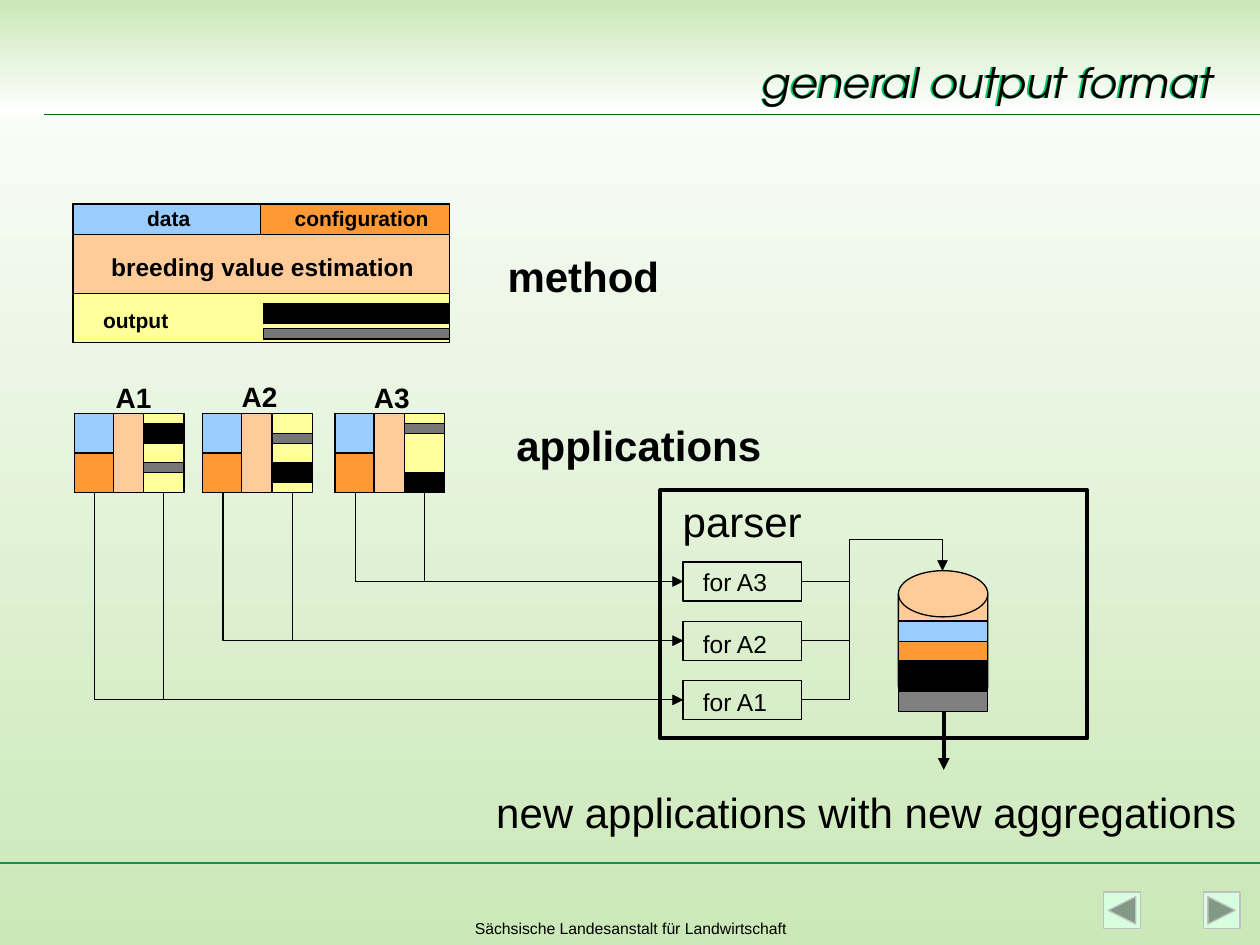
from dataclasses import dataclass
from typing import Optional

from lxml import etree
from pptx import Presentation
from pptx import util as u
from pptx.dml.color import RGBColor
from pptx.enum import shapes, text
from pptx.oxml import ns

Kind = shapes.MSO_SHAPE


@dataclass(frozen=True)
class Theme:
    ink: str = "000000"
    white: str = "FFFFFF"
    leaf: str = "CAE8B8"
    data: str = "99CCFF"
    config: str = "FF9933"
    method: str = "FFCC99"
    output: str = "FFFF99"
    grey: str = "777777"
    disk_grey: str = "808080"
    button: str = "D7FFDF"
    button_line: str = "C0C0C0"
    footer_rule: str = "119149"
    title_rule: str = "006600"
    title_shadow: str = "00CC66"
    body: str = "Arial"
    display: str = "TeX Gyre Adventor"
    heading: int = 24
    tag: int = 16
    normal: int = 14
    small: int = 12
    footer: int = 9
    thin: float = 0.75
    thick: float = 2.25


@dataclass(frozen=True)
class Box:
    left: float
    top: float
    width: float
    height: float
    fill: Optional[str] = None
    kind: Kind = Kind.RECTANGLE
    line: str = "000000"
    weight: float = 0.75


@dataclass(frozen=True)
class Label:
    words: str
    left: float
    top: float
    width: float
    height: float
    size: int
    bold: bool = False
    wrap: bool = False
    align: text.PP_ALIGN = text.PP_ALIGN.LEFT


@dataclass(frozen=True)
class Application:
    """One application: its tile, output bands and parser row."""
    name: str
    left: float
    tag_left: float
    tag_top: float
    black_top: float
    grey_top: float
    row_top: float
    row_text_top: float


T = Theme()
TILE_TOP, TILE_H, HALF = 3.28, 0.63, 0.315
ROW_LEFT, ROW_W, ROW_H = 5.42, 0.94, 0.31
BUS_X, BUS_TOP, DISK_X, DISK_TOP = 6.74, 4.28, 7.48, 4.53
SLACK = 0.06  # spare width that keeps a label on one line

APPLICATIONS = [
    Application("A1", 0.59, 0.82, 2.97, 3.36, 3.67, 5.40, 5.40),
    Application("A2", 1.61, 1.82, 2.96, 3.67, 3.44, 4.93, 4.94),
    Application("A3", 2.66, 2.87, 2.97, 3.75, 3.36, 4.46, 4.45),
]
METHOD = [
    Box(0.58, 1.62, 2.99, 1.1, T.method),
    Box(0.58, 2.33, 2.99, 0.39, T.output),
    Box(2.09, 2.41, 1.48, 0.16, T.ink),
    Box(2.09, 2.61, 1.48, 0.08, T.grey),
    Box(0.58, 1.62, 1.5, 0.24, T.data),
    Box(2.07, 1.62, 1.5, 0.24, T.config),
]
DISK = [
    Box(7.13, DISK_TOP, 0.71, 1.1, T.method, Kind.FLOWCHART_MAGNETIC_DISK),
    Box(7.13, 4.93, 0.71, 0.16, T.data),
    Box(7.13, 5.09, 0.71, 0.16, T.config),
    Box(7.13, 5.24, 0.71, 0.25, T.ink),
    Box(7.13, 5.49, 0.71, 0.16, T.disk_grey),
]
BUTTONS = [
    Box(8.76, 7.08, 0.29, 0.29, T.button, Kind.ACTION_BUTTON_BACK_OR_PREVIOUS, T.button_line),
    Box(9.55, 7.08, 0.29, 0.29, T.button, Kind.ACTION_BUTTON_FORWARD_OR_NEXT, T.button_line),
]
LABELS = [
    Label("breeding value estimation", 0.47, 1.95, 3.23, 0.34, T.normal, True, True,
          text.PP_ALIGN.CENTER),
    Label("data", 1.07, 1.58, 0.54, 0.3, T.small, True),
    Label("configuration", 2.24, 1.58, 1.26, 0.3, T.small, True),
    Label("output", 0.72, 2.39, 0.72, 0.3, T.small, True),
    Label("method", 3.93, 1.94, 1.4, 0.5, T.heading, True),
    Label("applications", 4, 3.28, 2.14, 0.5, T.heading, True),
    Label("parser", 5.32, 3.88, 1.14, 0.5, T.heading),
    Label("new applications with new aggregations", 3.84, 6.19, 6.07, 0.5, T.heading),
    Label("Sächsische Landesanstalt für Landwirtschaft", 1.68, 7.24, 6.65, 0.26,
          T.footer, wrap=True, align=text.PP_ALIGN.CENTER),
]
TITLE = Label("general output format", 1.22, 0.4, 8.5, 0.5, T.heading, wrap=True,
              align=text.PP_ALIGN.RIGHT)


def rgb(value: str) -> RGBColor:
    return RGBColor.from_string(value)


def sub(parent, tag: str, **attrs):
    return etree.SubElement(parent, ns.qn(tag), attrs)


def fade(fill, first: str, last: str) -> None:
    """Give a fill a gradient that runs from top to bottom."""
    fill.gradient()
    fill.gradient_angle = 270
    for stop, colour, position in zip(fill.gradient_stops, (first, last), (0, 1)):
        stop.color.rgb = rgb(colour)
        stop.position = position


def draw_box(s, box: Box):
    sp = s.shapes.add_shape(box.kind, *map(u.Inches, (box.left, box.top, box.width, box.height)))
    sp.shadow.inherit = False
    if box.fill:
        sp.fill.solid()
        sp.fill.fore_color.rgb = rgb(box.fill)
    else:
        sp.fill.background()
    sp.line.color.rgb = rgb(box.line)
    sp.line.width = u.Pt(box.weight)
    return sp


def draw_label(s, label: Label, **extra):
    width = label.width if label.wrap else label.width + SLACK
    sp = s.shapes.add_textbox(*map(u.Inches, (label.left, label.top, width, label.height)))
    tf = sp.text_frame
    tf.word_wrap = True
    tf.auto_size = text.MSO_AUTO_SIZE.SHAPE_TO_FIT_TEXT
    p = tf.paragraphs[0]
    p.alignment = label.align
    r = p.add_run()
    r.text = label.words
    r.font.color.rgb = rgb(T.ink)
    style = {"name": T.body, "size": u.Pt(label.size), "bold": label.bold, **extra}
    for key, value in style.items():
        setattr(r.font, key, value)
    return sp


def draw_title(s) -> None:
    sp = draw_label(s, TITLE, name=T.display, italic=True)
    sp.text_frame.vertical_anchor = text.MSO_ANCHOR.BOTTOM
    effects = sub(sp.element.spPr, "a:effectLst")
    shadow = sub(effects, "a:outerShdw", dist="13000", dir="10800000", algn="ctr", rotWithShape="0")
    sub(shadow, "a:srgbClr", val=T.title_shadow)


def draw_line(s, x1: float, y1: float, x2: float, y2: float, colour: str = T.ink,
              weight: float = T.thin, arrow: bool = False,
              kind=shapes.MSO_CONNECTOR.STRAIGHT):
    c = s.shapes.add_connector(kind, *map(u.Inches, (x1, y1, x2, y2)))
    c.line.color.rgb = rgb(colour)
    c.line.width = u.Pt(weight)
    if arrow:
        sub(c.element.spPr.find(ns.qn("a:ln")), "a:tailEnd", type="triangle")
    sub(c.element.spPr, "a:effectLst")
    return c


def draw_down_right(s, x1: float, y1: float, x2: float, y2: float) -> None:
    """Arrow that drops first and then turns right: a turned and flipped elbow."""
    w, h = y2 - y1, x2 - x1
    left, top = (x1 + x2 - w) / 2, (y1 + y2 - h) / 2
    c = draw_line(s, left, top, left + w, top + h, arrow=True, kind=shapes.MSO_CONNECTOR.ELBOW)
    pr = c.element.spPr
    pr.find(ns.qn("a:prstGeom")).set("prst", "bentConnector2")
    xfrm = pr.find(ns.qn("a:xfrm"))
    xfrm.set("rot", "16200000")
    xfrm.set("flipH", "1")


def draw_over_bus(s, x: float, y: float) -> None:
    """Arrow from a parser row up the bus and down onto the disk."""
    c = draw_line(s, x, y, DISK_X, DISK_TOP, arrow=True, kind=shapes.MSO_CONNECTOR.ELBOW)
    geom = c.element.spPr.find(ns.qn("a:prstGeom"))
    geom.set("prst", "bentConnector4")
    guides = geom.find(ns.qn("a:avLst"))
    ratios = ((BUS_X - x) / (DISK_X - x), (y - BUS_TOP) / (y - DISK_TOP))
    for number, ratio in enumerate(ratios, 1):
        sub(guides, "a:gd", name=f"adj{number}", fmla=f"val {round(ratio * 100000)}")


def draw_application(s, app: Application) -> None:
    out = app.left + 0.55
    row_y = app.row_top + ROW_H / 2
    for box in (
        Box(app.left, TILE_TOP, 0.87, TILE_H, T.method),
        Box(out, TILE_TOP, 0.32, TILE_H, T.output),
        Box(app.left, TILE_TOP, 0.31, HALF, T.data),
        Box(app.left, TILE_TOP + HALF, 0.31, HALF, T.config),
        Box(out, app.black_top, 0.32, 0.16, T.ink),
        Box(out, app.grey_top, 0.32, 0.08, T.grey),
        Box(ROW_LEFT, app.row_top, ROW_W, ROW_H),
    ):
        draw_box(s, box)
    draw_label(s, Label(app.name, app.tag_left, app.tag_top, 0.48, 0.37, T.tag, True))
    draw_label(s, Label(f"for {app.name}", 5.48, app.row_text_top, 0.72, 0.34, T.normal))
    for x in (out + 0.16, app.left + 0.16):
        draw_down_right(s, x, TILE_TOP + TILE_H, ROW_LEFT, row_y)
    if app.name == "A3":
        draw_line(s, ROW_LEFT + ROW_W, row_y, BUS_X, row_y)
    else:
        draw_over_bus(s, ROW_LEFT + ROW_W, row_y)


def main() -> None:
    prs = Presentation()
    prs.slide_width, prs.slide_height = u.Inches(10), u.Inches(7.5)
    s = prs.slides.add_slide(prs.slide_layouts[6])
    fade(s.background.fill, T.white, T.leaf)
    header = draw_box(s, Box(0, 0, 10, 0.91))
    fade(header.fill, T.leaf, T.white)
    header.line.fill.background()
    draw_line(s, 0, 6.85, 10, 6.85, T.footer_rule, 1)
    draw_line(s, 0.35, 0.91, 10, 0.91, T.title_rule)
    draw_title(s)
    for box in (*BUTTONS, *METHOD, Box(5.24, 3.89, 3.39, 1.97, weight=T.thick), *DISK):
        draw_box(s, box)
    for app in APPLICATIONS:
        draw_application(s, app)
    draw_line(s, 7.49, 5.64, 7.49, 6.11, weight=T.thick, arrow=True)
    for label in LABELS:
        draw_label(s, label)
    prs.save("out.pptx")


if __name__ == "__main__":
    main()
